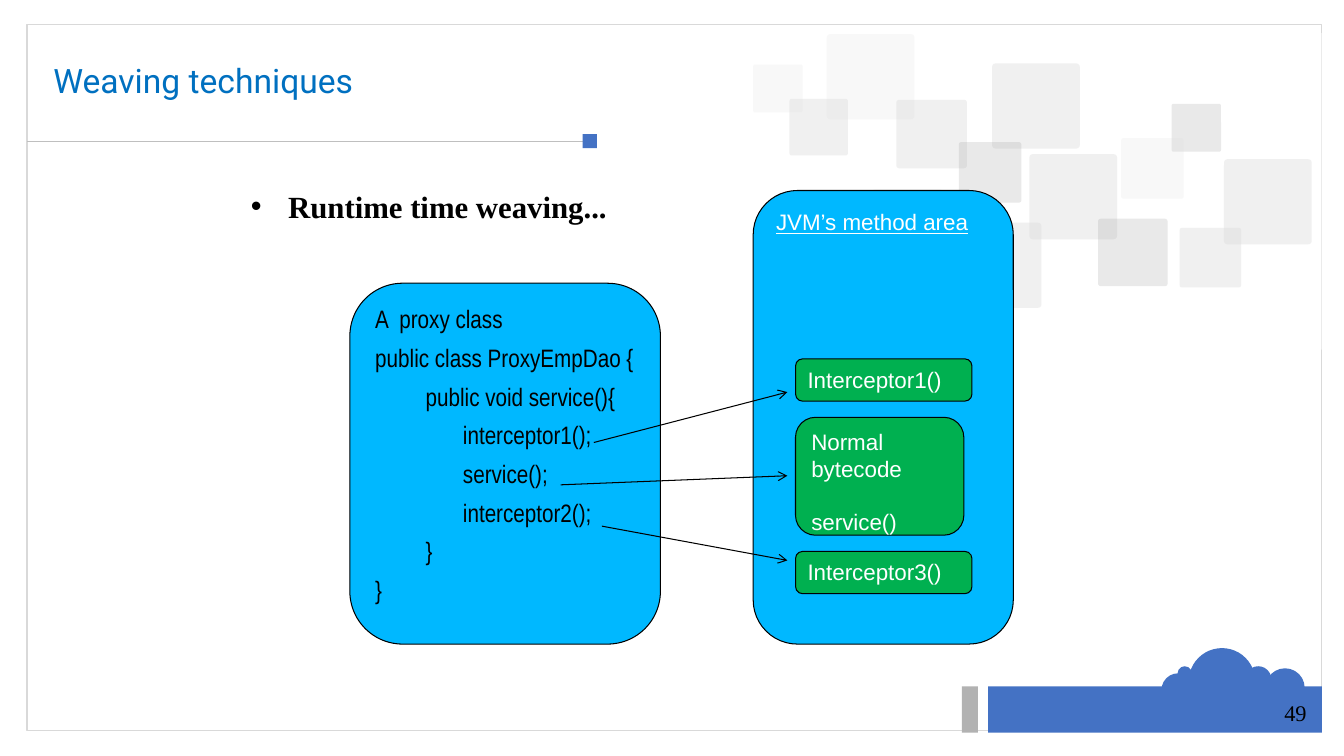
from lxml.etree import SubElement
from pptx import Presentation
from pptx.dml.color import RGBColor
from pptx.enum.shapes import MSO_CONNECTOR, MSO_SHAPE
from pptx.enum.text import MSO_ANCHOR, PP_ALIGN
from pptx.oxml.ns import qn
from pptx.util import Inches, Pt

COLORS = {
    "white": "FFFFFF", "black": "000000", "frame": "D9D9D9", "rule": "BFBFBF",
    "gray": "B2B2B2", "blue": "4472C4", "title": "0070C0",
    "sky": "00B8FF", "green": "00B050",
}
RECT, ROUND, OVAL = MSO_SHAPE.RECTANGLE, MSO_SHAPE.ROUNDED_RECTANGLE, MSO_SHAPE.OVAL


class SlideBuilder:
    """Draws on one slide; lengths are cells of a grid ten to the inch."""

    def __init__(self, prs):
        self.s = prs.slides.add_slide(prs.slide_layouts[6])

    def cells(self, *values):
        return [Inches(v / 10) for v in values]

    def color(self, name):
        return RGBColor.from_string(COLORS[name])

    def shape(self, kind, box, fill=None, line=None, width=0.75, alpha=None, adj=None):
        sp = self.s.shapes.add_shape(kind, *self.cells(*box))
        sp.shadow.inherit = False
        sp.text_frame.vertical_anchor = MSO_ANCHOR.TOP
        if adj is not None:
            sp.adjustments[0] = adj
        if fill:
            sp.fill.solid()
            sp.fill.fore_color.rgb = self.color(fill)
        else:
            sp.fill.background()
        if alpha is not None:
            clr = sp._element.spPr.find(qn("a:solidFill"))[0]
            SubElement(clr, qn("a:alpha"), val=str(alpha * 1000))
        if line:
            sp.line.color.rgb = self.color(line)
            sp.line.width = Pt(width)
        else:
            sp.line.fill.background()
        return sp

    def textbox(self, box, wrap=True, anchor=MSO_ANCHOR.TOP):
        sp = self.s.shapes.add_textbox(*self.cells(*box))
        sp.text_frame.word_wrap = wrap
        sp.text_frame.vertical_anchor = anchor
        return sp

    def text(self, sp, lines, font, size, color, bold=None, underline=None):
        """Each line is (text, left margin, first-line indent, space before)."""
        tf = sp.text_frame
        for i, (text, margin, indent, before) in enumerate(lines):
            p = tf.paragraphs[0] if i == 0 else tf.add_paragraph()
            p.alignment = PP_ALIGN.LEFT
            p.space_before = Pt(before)
            pPr = p._p.get_or_add_pPr()
            pPr.set("marL", str(Inches(margin / 10)))
            pPr.set("indent", str(Inches(indent / 10)))
            r = p.add_run()
            r.text = text
            r.font.name, r.font.size = font, Pt(size)
            r.font.bold, r.font.underline = bold, underline
            r.font.color.rgb = self.color(color)
        return tf

    def bullet(self, p, char):
        pPr = p._p.get_or_add_pPr()
        SubElement(pPr, qn("a:buFont"), typeface="Arial")
        SubElement(pPr, qn("a:buChar"), char=char)

    def line(self, start, end, color="black", width=0.75, arrow=False):
        cn = self.s.shapes.add_connector(
            MSO_CONNECTOR.STRAIGHT, *self.cells(*start, *end))
        cn.line.color.rgb = self.color(color)
        cn.line.width = Pt(width)
        if arrow:
            SubElement(cn.get_or_add_ln(), qn("a:tailEnd"), type="arrow")
        SubElement(cn._element.spPr, qn("a:effectLst"))


def main():
    prs = Presentation()
    prs.slide_width, prs.slide_height = Inches(13.33), Inches(7.5)
    b = SlideBuilder(prs)

    # Frame, footer bar and title rule
    b.shape(RECT, (2.7, 2.4, 128.4, 70.1), line="frame", width=1)
    b.shape(RECT, (98, 68.1, 33.1, 4.6), "blue")
    b.shape(RECT, (95.4, 68.1, 1.6, 4.6), "gray")
    b.line((2.7, 14), (57.8, 14), "rule", 0.5)
    b.shape(RECT, (57.8, 13.3, 1.4, 1.4), "blue")

    # Scattered tiles under a white veil
    tiles = [
        (82, 3.4, 8.7, "gray", 16), (98.4, 6.3, 8.7, "gray", 36),
        (94.6, 22.1, 8.7, "gray", 36), (102.1, 15.3, 8.7, "gray", 36),
        (88.9, 9.9, 7, "gray", 36), (86.5, 18.8, 7, "gray", 16),
        (95.1, 14.1, 6.2, "black", 16), (116.2, 10.3, 4.9, "black", 16),
        (111.2, 13.7, 6.2, "gray", 16), (108.9, 21.7, 6.9, "black", 16),
        (78.3, 9.8, 5.8, "gray", 35), (74.7, 6.4, 4.9, "gray", 16),
        (121.4, 15.8, 8.7, "gray", 36), (117, 22.6, 6.1, "gray", 36),
    ]
    for x, y, side, color, alpha in tiles:
        b.shape(ROUND, (x, y, side, side * 0.97), color, alpha=alpha, adj=0.04)
    b.shape(RECT, (71.2, 3.3, 59.9, 31.4), "white", alpha=48)

    # Cloud and page number
    for x, y, size in [(117.9, 64.3, 6.6), (115.2, 66.8, 3.3), (123.5, 66.1, 2.6),
                       (125.5, 66.3, 3.9), (116.8, 66.1, 1.4)]:
        b.shape(OVAL, (x, y, size, size), "blue")
    page = b.textbox((126.4, 68.9, 5.4, 3.7), wrap=False)
    b.text(page, [("49", 0, 0, 0)], "Times New Roman", 16, "black")

    # Title and bullet
    title = b.textbox((4.3, 4, 124.5, 8.4), anchor=MSO_ANCHOR.MIDDLE)
    tf = b.text(title, [("Weaving techniques", 0, 0, 0)], "Roboto", 24, "title")
    tf.paragraphs[0].line_spacing = 0.9
    topic = b.textbox((23.9, 18.1, 88.3, 6.7))
    tf = b.text(topic, [("Runtime time weaving...", 3.7, -3.7, 6)],
                "Times New Roman", 22, "black", bold=True)
    b.bullet(tf.paragraphs[0], "•")

    # Method area with its methods
    area = b.shape(ROUND, (74.7, 18.9, 25.8, 45), "sky", "black", adj=0.17)
    b.text(area, [("JVM’s method area", 0, 0, 0)], "Arial", 16, "white", underline=True)
    methods = [
        (41.4, 16.7, 11.7, [("Normal bytecode", 0, 0, 0), ("service()", 0, 0, 19)]),
        (35.6, 17.5, 4.2, [("Interceptor1()", 0, 0, 0)]),
        (54.7, 17.5, 4.2, [("Interceptor3()", 0, 0, 0)]),
    ]
    for y, w, h, lines in methods:
        sp = b.shape(ROUND, (78.9, y, w, h), "green", "black", adj=0.17)
        b.text(sp, lines, "Arial", 16, "white")

    # Proxy class source, indented by nesting level
    margins = [0, 5, 8.7]
    code = [
        (0, "A  proxy class"), (0, "public class ProxyEmpDao {"),
        (1, "public void service(){"), (2, "interceptor1();"), (2, "service();"),
        (2, "interceptor2();"), (1, "}"), (0, "}"),
    ]
    proxy = b.shape(ROUND, (34.7, 28.1, 30.8, 35.8), "sky", "black", adj=0.17)
    b.text(proxy, [(text, margins[level], 0, 6) for level, text in code],
           "Arial Narrow", 18, "black")

    # Calls from the proxy to the methods
    for x, y, target in [(58.9, 43.9, 38.9), (55.6, 48.1, 47.2), (59.7, 52.2, 55.6)]:
        b.line((x, y), (78.1, target), arrow=True)

    prs.save("out.pptx")


if __name__ == "__main__":
    main()
